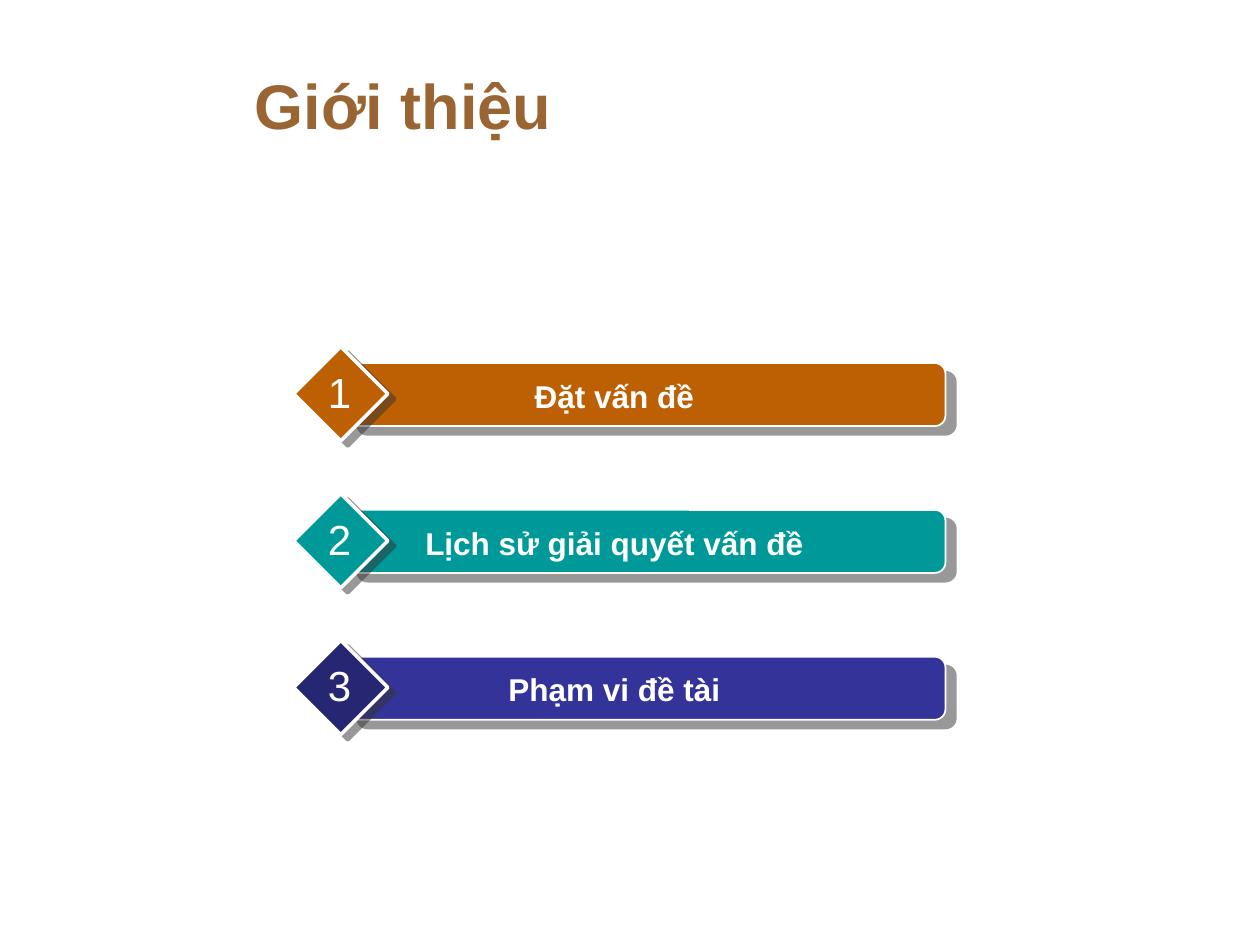
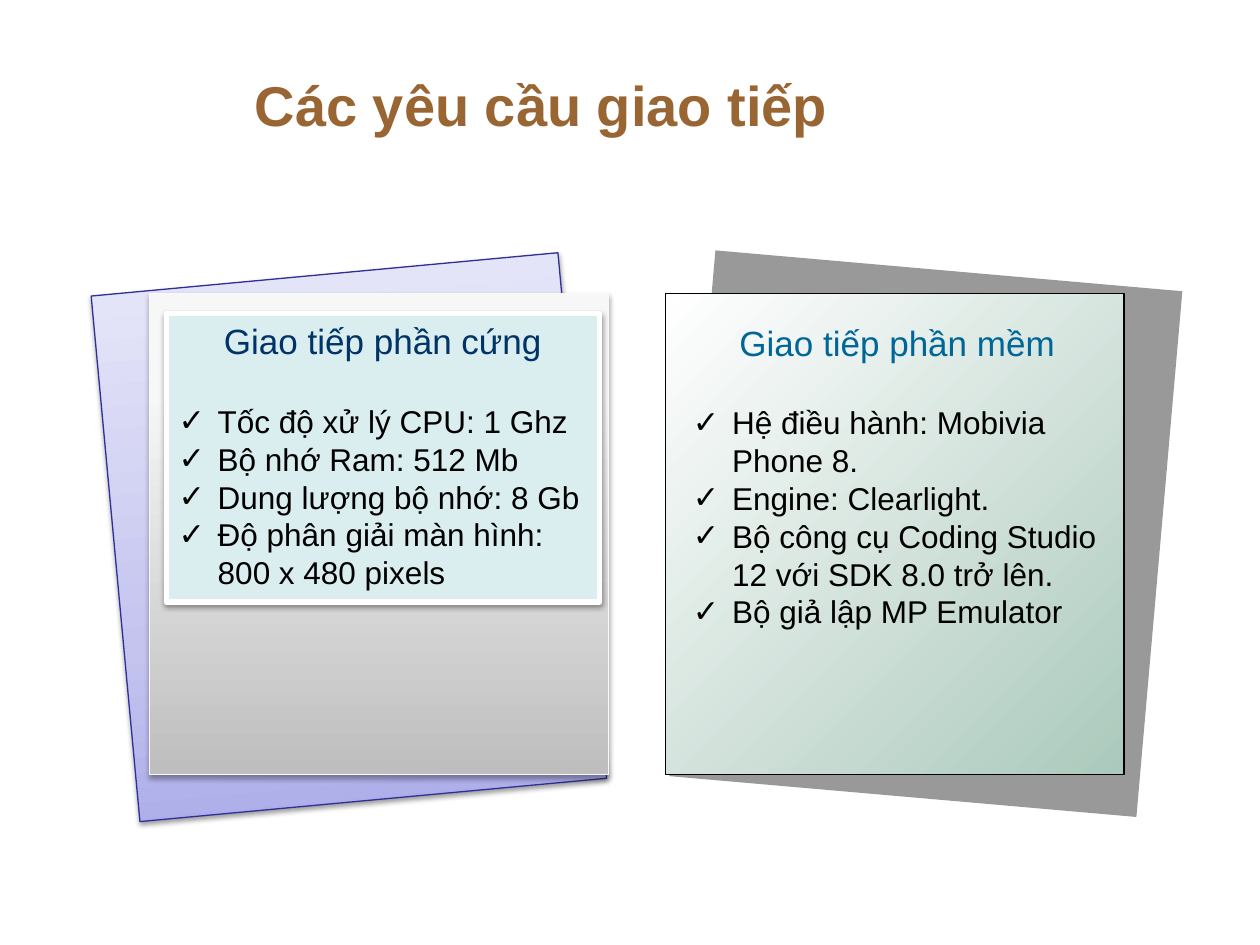
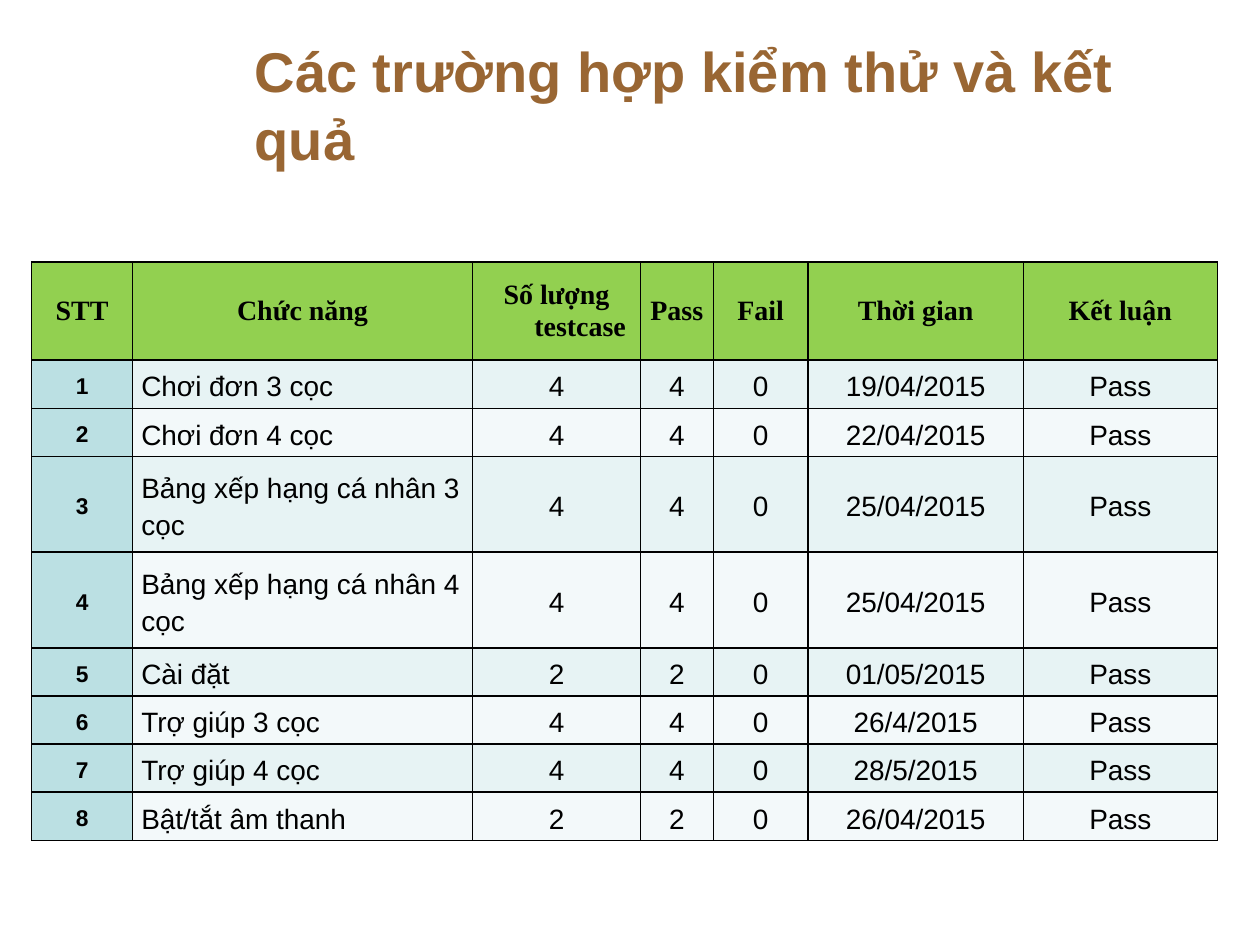
from copy import deepcopy
from dataclasses import dataclass
from lxml.etree import SubElement as Sub
from pptx import Presentation
from pptx.dml.color import RGBColor as Rgb
from pptx.enum.shapes import MSO_SHAPE as Kind
from pptx.enum.text import MSO_ANCHOR as Anchor, MSO_AUTO_SIZE as Fit, PP_ALIGN as Align
from pptx.oxml.ns import qn
from pptx.util import Cm, Pt


@dataclass(frozen=True)
class Theme:
    sans: str = "Arial"
    serif: str = "Times New Roman"
    title: str = "996633"
    white: str = "FFFFFF"
    black: str = "000000"
    shade: str = "333333"
    orange: str = "BD6003"
    teal: str = "009999"
    blue: str = "333399"
    navy: str = "262673"
    rim: str = "2F2F98"
    frost: str = "F9F9F9"
    panel: str = "DAEDEF"
    hard: str = "003366"
    soft: str = "006699"
    head: str = "92D050"
    index: str = "BBE0E3"
    odd: str = "E7F3F4"
    even: str = "F3F9FA"
    lilac: tuple = ((0, "A9A9E9"), (35, "C4C4EF"), (100, "E8E8FA"))
    silver: tuple = ((0, "BEBEBE"), (80, "F7F7F7"), (100, "F8F8F8"))
    mint: tuple = ((0, "FFFFFF"), (100, "ABC9BC"))
    big: int = 36
    large: int = 32
    digit: int = 24
    lead: int = 20
    body: int = 18
    cell: int = 16
    small: int = 13


T = Theme()
STEPS = [
    ("Đặt vấn đề", T.orange, T.orange),
    ("Lịch sử giải quyết vấn đề", T.teal, T.teal),
    ("Phạm vi đề tài", T.blue, T.navy),
]
HARD = [
    "Tốc độ xử lý CPU: 1 Ghz",
    "Bộ nhớ Ram: 512 Mb",
    "Dung lượng bộ nhớ: 8 Gb",
    "Độ phân giải màn hình: 800 x 480 pixels",
]
SOFT = [
    "Hệ điều hành: Mobivia Phone 8.",
    "Engine: Clearlight.",
    "Bộ công cụ Coding Studio 12 với SDK 8.0 trở lên.",
    "Bộ giả lập MP Emulator",
]
HEADS = ["STT", "Chức năng", "Số lượng testcase", "Pass", "Fail", "Thời gian", "Kết luận"]
TESTS = [
    ("Chơi đơn 3 cọc", 4, "19/04/2015"),
    ("Chơi đơn 4 cọc", 4, "22/04/2015"),
    ("Bảng xếp hạng cá nhân 3 cọc", 4, "25/04/2015"),
    ("Bảng xếp hạng cá nhân 4 cọc", 4, "25/04/2015"),
    ("Cài đặt", 2, "01/05/2015"),
    ("Trợ giúp 3 cọc", 4, "26/4/2015"),
    ("Trợ giúp 4 cọc", 4, "28/5/2015"),
    ("Bật/tắt âm thanh", 2, "26/04/2015"),
]
WIDTHS = [2.03, 6.86, 3.38, 1.47, 1.91, 4.34, 3.91]
HEIGHTS = [1.98, 0.97, 0.97, 1.93, 1.93, 0.97, 0.97, 0.97, 0.97]


def write(frame, text, size=T.body, color=T.black, font=T.sans, bold=False,
          align=Align.LEFT, hang=0, mark=None, gap=0, lines=None):
    para = frame.paragraphs[0] if not frame.text else frame.add_paragraph()
    para.text = text
    props = para._p.get_or_add_pPr()
    if hang:
        props.set("marL", str(Cm(hang)))
        props.set("indent", str(-Cm(hang)))
    if mark:
        Sub(props, qn("a:buFont"), typeface=font)
        Sub(props, qn("a:buChar"), char=mark)
    para.alignment = align
    if gap:
        para.space_before = Pt(gap)
    if lines:
        para.line_spacing = lines
    para.font.size = Pt(size)
    para.font.bold = bold
    para.font.name = font
    para.font.color.rgb = Rgb.from_string(color)


def paint(fill, color):
    fill.solid()
    fill.fore_color.rgb = Rgb.from_string(color)


def blend(fill, shape, stops, angle):
    fill.gradient()
    fill.gradient_angle = angle
    group = shape._element.spPr.find(qn("a:gradFill")).find(qn("a:gsLst"))
    for old in list(group):
        group.remove(old)
    for place, color in stops:
        stop = Sub(group, qn("a:gs"), pos=str(place * 1000))
        Sub(stop, qn("a:srgbClr"), val=color)


def fade(color, part):
    Sub(color, qn("a:alpha"), val=str(part * 1000))


def cast(shape, color, part, blur, dist, angle):
    effects = shape._element.spPr.find(qn("a:effectLst"))
    drop = Sub(effects, qn("a:outerShdw"), blurRad=str(Pt(blur)), dist=str(Pt(dist)),
               dir=str(angle * 60000), algn="ctr", rotWithShape="0")
    fade(Sub(drop, qn("a:srgbClr"), val=color), part)


def block(shapes, kind, area, fill, line=None, width=0.75, turn=0, angle=90, drop=None):
    shape = shapes.add_shape(kind, *map(Cm, area))
    shape.rotation = turn
    shape.shadow.inherit = False
    if isinstance(fill, str):
        paint(shape.fill, fill)
    else:
        blend(shape.fill, shape, fill, angle)
    if line:
        paint(shape.line.fill, line)
        shape.line.width = Pt(width)
    else:
        shape.line.fill.background()
    if drop:
        cast(shape, *drop)
    return shape


def label(shapes, area, wrap=True):
    frame = shapes.add_textbox(*map(Cm, area)).text_frame
    frame.word_wrap = wrap
    return frame


def start(deck, text, size=T.large, width=19.69):
    page = deck.slides.add_slide(deck.slide_layouts[5])
    title = page.shapes.title
    title.left, title.top, title.width, title.height = map(Cm, (4.88, 0.79, width, 2.62))
    frame = title.text_frame
    frame.auto_size = Fit.NONE
    frame.vertical_anchor = Anchor.MIDDLE
    write(frame, text, size=size, color=T.title, bold=True)
    return page


def step(page, top, order, text, bar, gem):
    shapes = page.shapes.add_group_shape().shapes
    block(shapes, Kind.ROUNDED_RECTANGLE, (6.99, top + 0.33, 12.07, 1.27), bar,
          line=T.white, width=1, drop=(T.shade, 50, 0, 7.8, 40))
    block(shapes, Kind.DIAMOND, (5.92, top, 1.9, 1.9), gem,
          line=T.white, width=2, drop=(T.shade, 50, 0, 5, 37))
    write(label(shapes, (7.62, top + 0.48, 9.53, 1.02)), text,
          color=T.white, bold=True, align=Align.CENTER)
    write(label(shapes, (6.35, top + 0.27, 0.99, 1.3), wrap=False), str(order),
          size=T.digit, color=T.white, align=Align.CENTER)


def points(frame, head, color, items):
    write(frame, head, size=T.lead, color=color, align=Align.CENTER)
    for order, item in enumerate(items):
        write(frame, item, hang=0.79, mark="✓", gap=0 if order else 23)


def hardware(page):
    shapes = page.shapes.add_group_shape().shapes
    block(shapes, Kind.RECTANGLE, (2.31, 5.51, 9.45, 10.64), T.lilac, line=T.rim,
          turn=354.7, drop=(T.black, 38, 3.1, 1.6, 90))
    block(shapes, Kind.RECTANGLE, (3.02, 5.92, 9.25, 9.7), T.silver, line=T.frost,
          drop=(T.black, 35, 3.1, 1.8, 90))
    card = block(shapes, Kind.RECTANGLE, (3.35, 6.32, 8.74, 5.82), T.panel, line=T.white,
                 width=3, drop=(T.black, 38, 3.1, 1.6, 90))
    card.text_frame.vertical_anchor = Anchor.TOP
    points(card.text_frame, "Giao tiếp phần cứng", T.hard, HARD)


def software(page):
    shapes = page.shapes.add_group_shape().shapes
    back = block(shapes, Kind.RECTANGLE, (13.94, 5.44, 9.45, 10.64), T.black, turn=5)
    fade(back._element.spPr.find(qn("a:solidFill"))[0], 40)
    block(shapes, Kind.RECTANGLE, (13.41, 5.92, 9.25, 9.7), T.mint, line=T.black, angle=315)
    points(label(shapes, (13.72, 6.35, 8.74, 6.58)), "Giao tiếp phần mềm", T.soft, SOFT)


def border(cell):
    props = cell._tc.get_or_add_tcPr()
    first = Sub(props, qn("a:lnL"), w=str(Pt(1)))
    Sub(Sub(first, qn("a:solidFill")), qn("a:srgbClr"), val=T.black)
    props.insert(0, first)
    for place, side in enumerate(("a:lnR", "a:lnT", "a:lnB"), 1):
        edge = deepcopy(first)
        edge.tag = qn(side)
        props.insert(place, edge)


def fill_cell(cell, text, color, **form):
    cell.margin_left = cell.margin_right = Cm(0.18)
    cell.margin_top = cell.margin_bottom = 0
    cell.vertical_anchor = Anchor.MIDDLE
    paint(cell.fill, color)
    border(cell)
    write(cell.text_frame, text, **form)


def results(page):
    area = (0.64, 5.28, sum(WIDTHS), sum(HEIGHTS))
    grid = page.shapes.add_table(len(HEIGHTS), len(WIDTHS), *map(Cm, area)).table
    for column, width in zip(grid.columns, WIDTHS):
        column.width = Cm(width)
    for row, height in zip(grid.rows, HEIGHTS):
        row.height = Cm(height)
    for col, text in enumerate(HEADS):
        fill_cell(grid.cell(0, col), text, T.head, size=T.cell, font=T.serif,
                  bold=True, align=Align.CENTER, hang=0.95)
    for row, (name, count, date) in enumerate(TESTS, 1):
        band = T.odd if row % 2 else T.even
        values = (row, name, count, count, 0, date, "Pass")
        for col, value in enumerate(values):
            lead = col == 0
            fill_cell(grid.cell(row, col), str(value), T.index if lead else band,
                      size=T.small if lead else T.cell, bold=lead, lines=1.2,
                      align=Align.LEFT if col == 1 else Align.CENTER)


def main():
    deck = Presentation()
    deck.slide_width, deck.slide_height = Cm(25.4), Cm(19.05)
    intro = start(deck, "Giới thiệu", size=T.big)
    for order, item in enumerate(STEPS):
        step(intro, 6.99 + order * 2.96, order + 1, *item)
    needs = start(deck, "Các yêu cầu giao tiếp")
    hardware(needs)
    software(needs)
    results(start(deck, "Các trường hợp kiểm thử và kết quả", width=20.12))
    deck.save("out.pptx")


if __name__ == "__main__":
    main()
